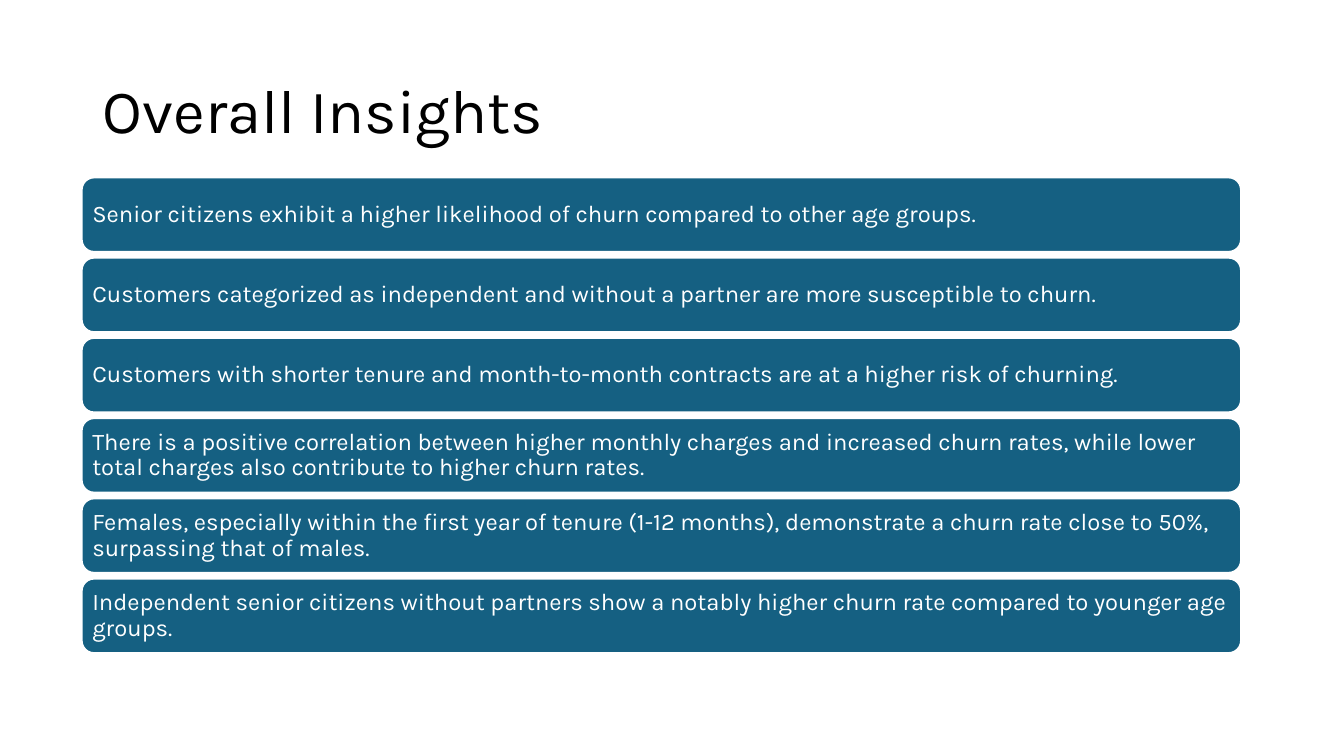
from dataclasses import dataclass

from pptx import Presentation
from pptx.dml.color import RGBColor
from pptx.enum.shapes import MSO_SHAPE
from pptx.enum.text import MSO_ANCHOR, MSO_AUTO_SIZE, PP_ALIGN
from pptx.slide import Slide
from pptx.text.text import TextFrame
from pptx.util import Inches, Pt

ROUNDED = MSO_SHAPE.ROUNDED_RECTANGLE
MIDDLE = MSO_ANCHOR.MIDDLE
NO_AUTOFIT = MSO_AUTO_SIZE.NONE
LEFT = PP_ALIGN.LEFT

FONT = "Karla"
BLACK, WHITE, TEAL = "000000", "FFFFFF", "156082"

TITLE_ONLY = 5
BAR_LEFT, BAR_WIDTH, BAR_HEIGHT = 0.81, 11.5, 0.74
FIRST_TOP, LAST_TOP = 1.76, 5.74

INSIGHTS = [
    "Senior citizens exhibit a higher likelihood of churn compared to other age groups.",
    "Customers categorized as independent and without a partner are more susceptible to churn.",
    "Customers with shorter tenure and month-to-month contracts are at a higher risk of churning.",
    "There is a positive correlation between higher monthly charges and increased churn rates, "
    "while lower total charges also contribute to higher churn rates.",
    "Females, especially within the first year of tenure (1-12 months), demonstrate a churn rate "
    "close to 50%, surpassing that of males.",
    "Independent senior citizens without partners show a notably higher churn rate compared to "
    "younger age groups.",
]


@dataclass
class InsightBar:
    text: str
    top: float


def color(value: str) -> RGBColor:
    return RGBColor.from_string(value)


def write_text(frame: TextFrame, text: str, size: float, ink: str) -> None:
    frame.word_wrap = True
    frame.auto_size = NO_AUTOFIT
    frame.vertical_anchor = MIDDLE
    para = frame.paragraphs[0]
    para.alignment = LEFT
    para.line_spacing = 0.9
    span = para.add_run()
    span.text = text
    span.font.name = FONT
    span.font.size = Pt(size)
    span.font.color.rgb = color(ink)


def add_title(page: Slide, text: str) -> None:
    title = page.shapes.title
    title.left, title.top = Inches(0.92), Inches(0.4)
    title.width, title.height = Inches(11.5), Inches(1.45)
    write_text(title.text_frame, text, 44, BLACK)


def add_bar(page: Slide, bar: InsightBar) -> None:
    box = page.shapes.add_shape(
        ROUNDED, Inches(BAR_LEFT), Inches(bar.top), Inches(BAR_WIDTH), Inches(BAR_HEIGHT)
    )
    box.shadow.inherit = False
    box.fill.solid()
    box.fill.fore_color.rgb = color(TEAL)
    box.line.color.rgb = color(WHITE)
    box.line.width = Pt(1.5)
    frame = box.text_frame
    frame.margin_left = frame.margin_right = Inches(0.07)
    frame.margin_top = frame.margin_bottom = Inches(0.07)
    write_text(frame, bar.text, 17, WHITE)


def main() -> None:
    """Build the slide of overall churn insights."""
    deck = Presentation()
    deck.slide_width, deck.slide_height = Inches(13.33), Inches(7.5)
    page = deck.slides.add_slide(deck.slide_layouts[TITLE_ONLY])
    add_title(page, "Overall Insights")
    pitch = (LAST_TOP - FIRST_TOP) / (len(INSIGHTS) - 1)
    for index, text in enumerate(INSIGHTS):
        add_bar(page, InsightBar(text, FIRST_TOP + index * pitch))
    deck.save("out.pptx")


if __name__ == "__main__":
    main()
